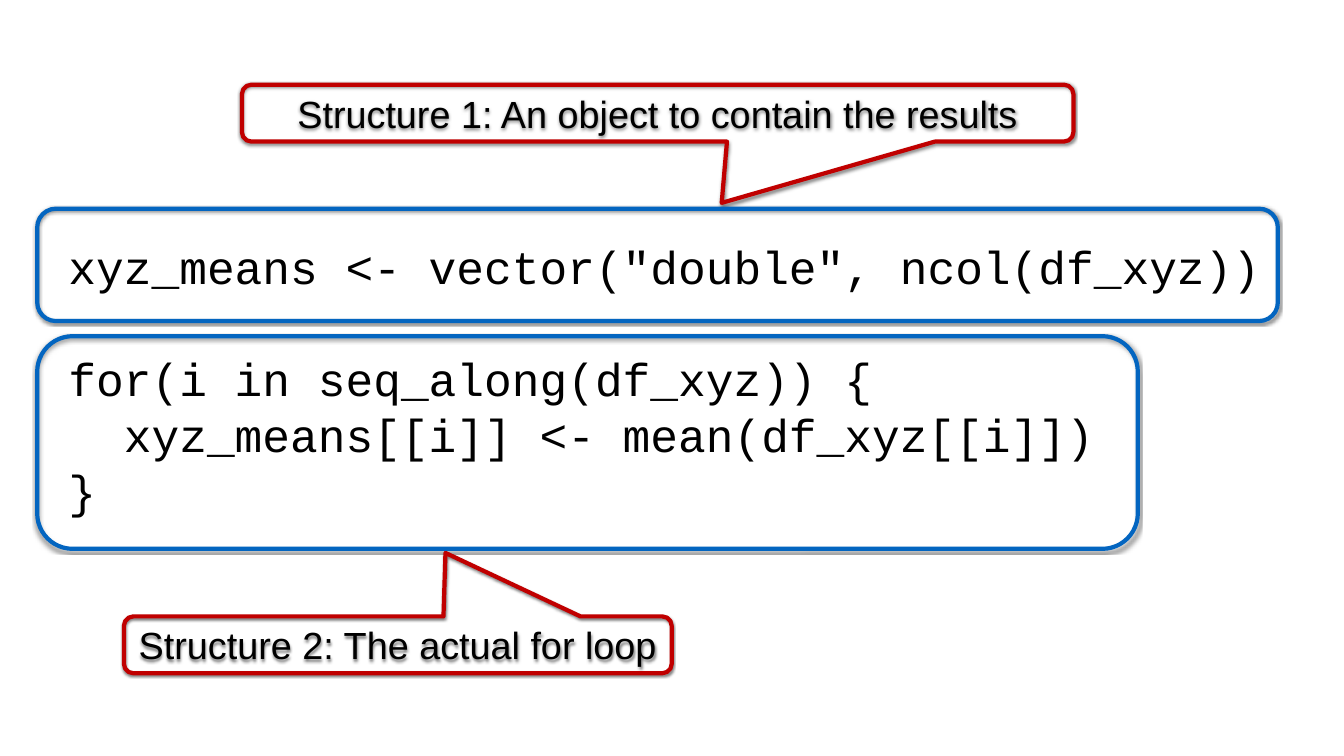
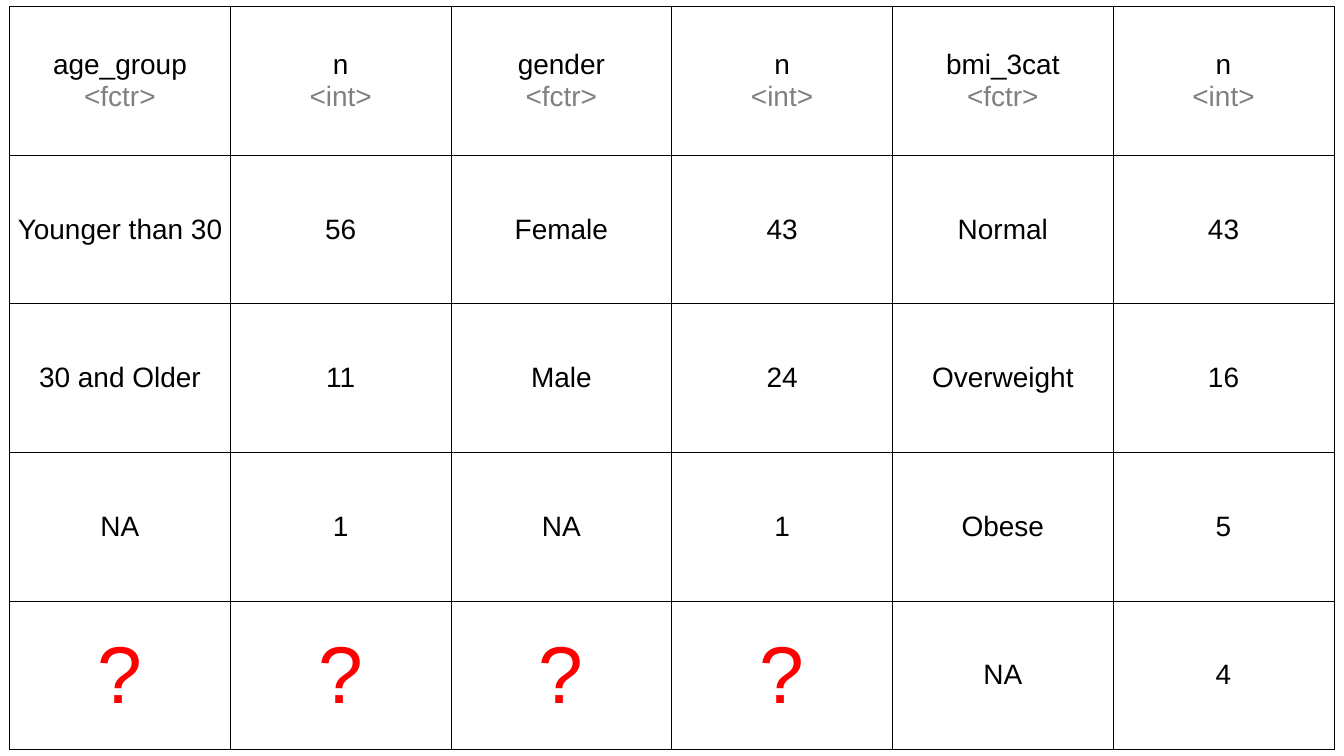
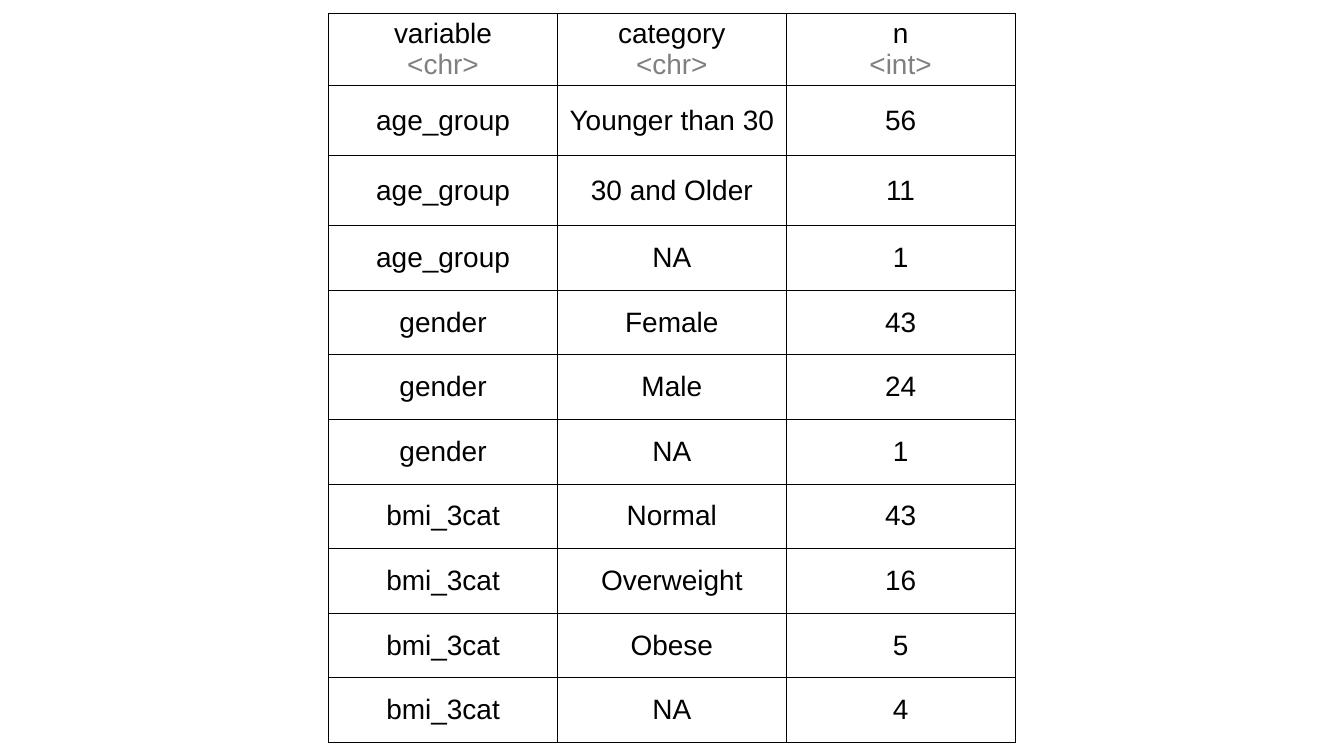
import itertools

import lxml.etree
import pptx
import pptx.dml.color
import pptx.enum.shapes
import pptx.enum.text
import pptx.oxml.ns
import pptx.util

RGB = pptx.dml.color.RGBColor
SHAPE = pptx.enum.shapes.MSO_SHAPE
ALIGN = pptx.enum.text.PP_ALIGN
MIDDLE = pptx.enum.text.MSO_ANCHOR.MIDDLE
GROW = pptx.enum.text.MSO_AUTO_SIZE.SHAPE_TO_FIT_TEXT
Pt, Inches = pptx.util.Pt, pptx.util.Inches
qn = pptx.oxml.ns.qn

BLACK = RGB(0, 0, 0)
WHITE = RGB(255, 255, 255)
GREY = RGB(0x80, 0x80, 0x80)
RED = RGB(0xFF, 0, 0)
CRIMSON = RGB(0xC0, 0, 0)
BLUE = RGB(0x03, 0x65, 0xC0)

WIDE, HIGH = Inches(26.67), Inches(15)
PAGE = (0, 0, WIDE, HIGH)
PAD = Inches(0.06)

CODE = {"name": "Courier New", "size": Pt(66)}
LABEL = {"name": "Arial", "size": Pt(54)}
ENTRY = {"name": "Arial", "size": Pt(40)}
TYPE = {**ENTRY, "color": GREY}
GAP = {"name": "Arial", "size": Pt(115), "color": RED}
CODE_LINE = Pt(80)
MISSING = "?"

LOOP = [
    'xyz_means <- vector("double", ncol(df_xyz))',
    "for(i in seq_along(df_xyz)) {",
    "  xyz_means[[i]] <- mean(df_xyz[[i]])",
    "}",
]
COUNTS = {
    "age_group": [("Younger than 30", 56), ("30 and Older", 11), ("NA", 1)],
    "gender": [("Female", 43), ("Male", 24), ("NA", 1)],
    "bmi_3cat": [("Normal", 43), ("Overweight", 16), ("Obese", 5), ("NA", 4)],
}


def place(box, x, y, w, h):
    """Turn percentages of a box into lengths on the slide."""
    left, top, width, height = box
    return [round(v) for v in (left + width * x / 100, top + height * y / 100,
                               width * w / 100, height * h / 100)]


def style(font, form):
    for key, value in {"color": BLACK, **form}.items():
        if key == "color":
            font.color.rgb = value
        else:
            setattr(font, key, value)


def write(frame, lines, forms, align):
    """Fill a text frame with one paragraph per line, each in its own format."""
    for i, (line, form) in enumerate(zip(lines, forms)):
        para = frame.paragraphs[0] if i == 0 else frame.add_paragraph()
        para.alignment = align
        run = para.add_run()
        run.text = line
        style(run.font, form)


def set_frame(frame):
    form = {"word_wrap": True, "auto_size": GROW, "vertical_anchor": MIDDLE}
    form.update({f"margin_{side}": PAD for side in ("left", "top", "right", "bottom")})
    for key, value in form.items():
        setattr(frame, key, value)


def add_shadow(shape):
    shape.shadow.inherit = False
    effects = shape._element.spPr.find(qn("a:effectLst"))
    outer = lxml.etree.SubElement(effects, qn("a:outerShdw"), blurRad=str(Pt(3)),
                                  dist=str(Pt(2)), dir="5400000", rotWithShape="0")
    black = lxml.etree.SubElement(outer, qn("a:srgbClr"), val=str(BLACK))
    lxml.etree.SubElement(black, qn("a:alpha"), val="50000")


def outline(slide, kind, box, color):
    shape = slide.shapes.add_shape(kind, *box)
    shape.fill.background()
    shape.line.color.rgb = color
    shape.line.width = Pt(6)
    add_shadow(shape)
    return shape


def callout(slide, box, text, tip):
    shape = outline(slide, SHAPE.ROUNDED_RECTANGULAR_CALLOUT, box, CRIMSON)
    for i, value in enumerate((*tip, 0.167)):
        shape.adjustments[i] = value
    set_frame(shape.text_frame)
    write(shape.text_frame, [text], [LABEL], ALIGN.CENTER)


def code_block(slide, box):
    frame = slide.shapes.add_textbox(*box).text_frame
    set_frame(frame)
    write(frame, LOOP, [CODE] * len(LOOP), ALIGN.LEFT)
    for para in frame.paragraphs:
        para.line_spacing = CODE_LINE
    frame.paragraphs[1].space_before = CODE_LINE


def loop_slide(slide, box):
    code_block(slide, place(box, 4.87, 31.13, 90.25, 37.8))
    callout(slide, place(box, 18, 11.2, 61.87, 7.53),
            "Structure 1: An object to contain the results", (0.077, 1.576))
    for y, w, h in ((27.6, 92.31, 14.87), (44.47, 81.89, 28.13)):
        outline(slide, SHAPE.ROUNDED_RECTANGLE, place(box, 2.77, y, w, h), BLUE)
    callout(slide, place(box, 9.22, 81.53, 40.76, 7.53),
            "Structure 2: The actual for loop", (0.087, -1.615))


def border(cell):
    props = cell._tc.get_or_add_tcPr()
    for i, side in enumerate("LRTB"):
        line = lxml.etree.Element(qn(f"a:ln{side}"), w=str(Pt(1)))
        fill = lxml.etree.SubElement(line, qn("a:solidFill"))
        lxml.etree.SubElement(fill, qn("a:srgbClr"), val=str(BLACK))
        props.insert(i, line)


def grid(slide, box, head, body, shares):
    """Draw a table of names over types, with row heights in given shares."""
    rows = [head] + [[(str(item),) for item in row] for row in body]
    table = slide.shapes.add_table(len(rows), len(head), *box).table
    table.first_row = table.horz_banding = False
    for col in table.columns:
        col.width = round(box[2] / len(head))
    for row, share in zip(table.rows, shares):
        row.height = round(box[3] * share / sum(shares))
    for r, row in enumerate(rows):
        for c, lines in enumerate(row):
            cell = table.cell(r, c)
            cell.fill.background()
            cell.vertical_anchor = MIDDLE
            border(cell)
            first = GAP if lines[0] == MISSING else ENTRY
            write(cell.text_frame, lines, (first, TYPE), ALIGN.CENTER)


def wide_slide(slide, box):
    head = [pair for name in COUNTS for pair in ((name, "<fctr>"), ("n", "<int>"))]
    rows = itertools.zip_longest(*COUNTS.values(), fillvalue=(MISSING, MISSING))
    body = [list(itertools.chain(*row)) for row in rows]
    grid(slide, place(box, 0.71, 0.87, 98.54, 98.27), head, body, [1] * 5)


def long_slide(slide, box):
    head = [("variable", "<chr>"), ("category", "<chr>"), ("n", "<int>")]
    body = [(name, *pair) for name, pairs in COUNTS.items() for pair in pairs]
    shares = [1.39] * 3 + [1.28] * 8
    grid(slide, place(box, 24.45, 1.73, 51.07, 96.2), head, body, shares)


def main():
    deck = pptx.Presentation()
    deck.slide_width, deck.slide_height = WIDE, HIGH
    blank = deck.slide_layouts[6]
    for build in (loop_slide, wide_slide, long_slide):
        slide = deck.slides.add_slide(blank)
        slide.background.fill.solid()
        slide.background.fill.fore_color.rgb = WHITE
        build(slide, PAGE)
    deck.save("out.pptx")


if __name__ == "__main__":
    main()
